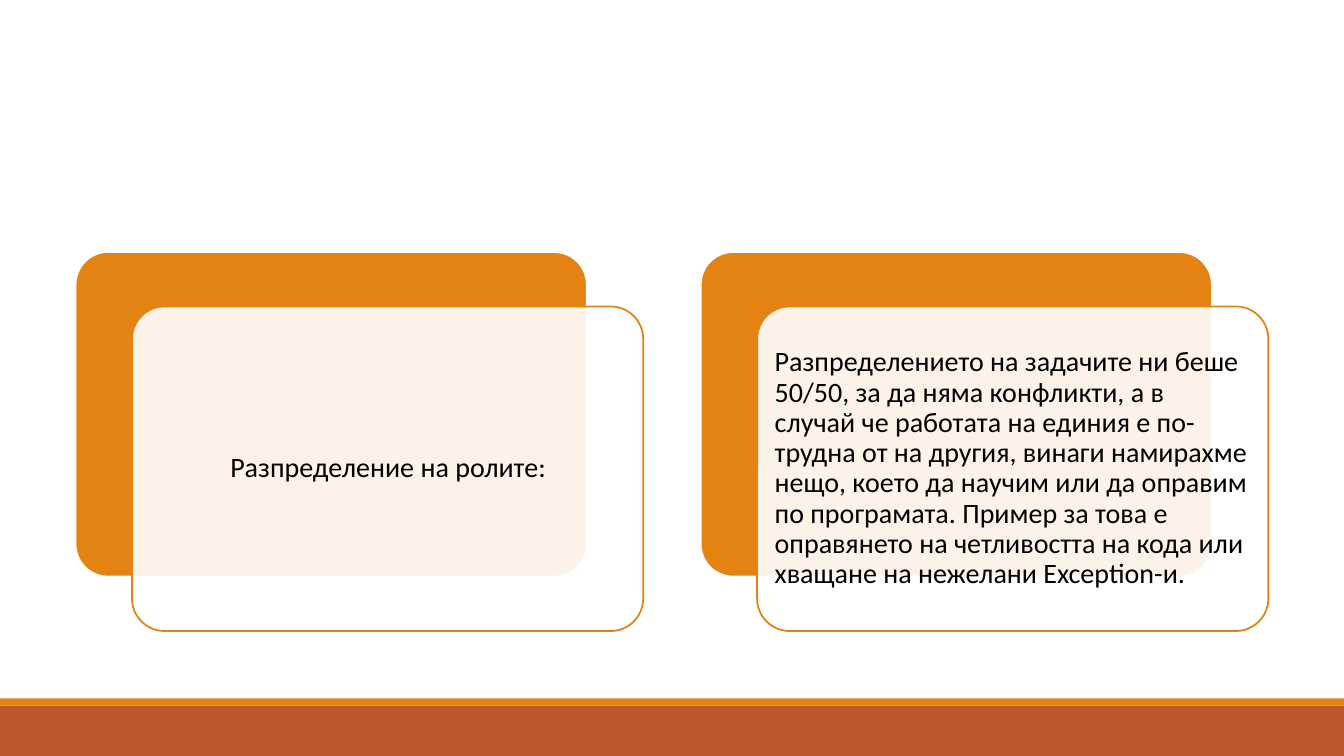
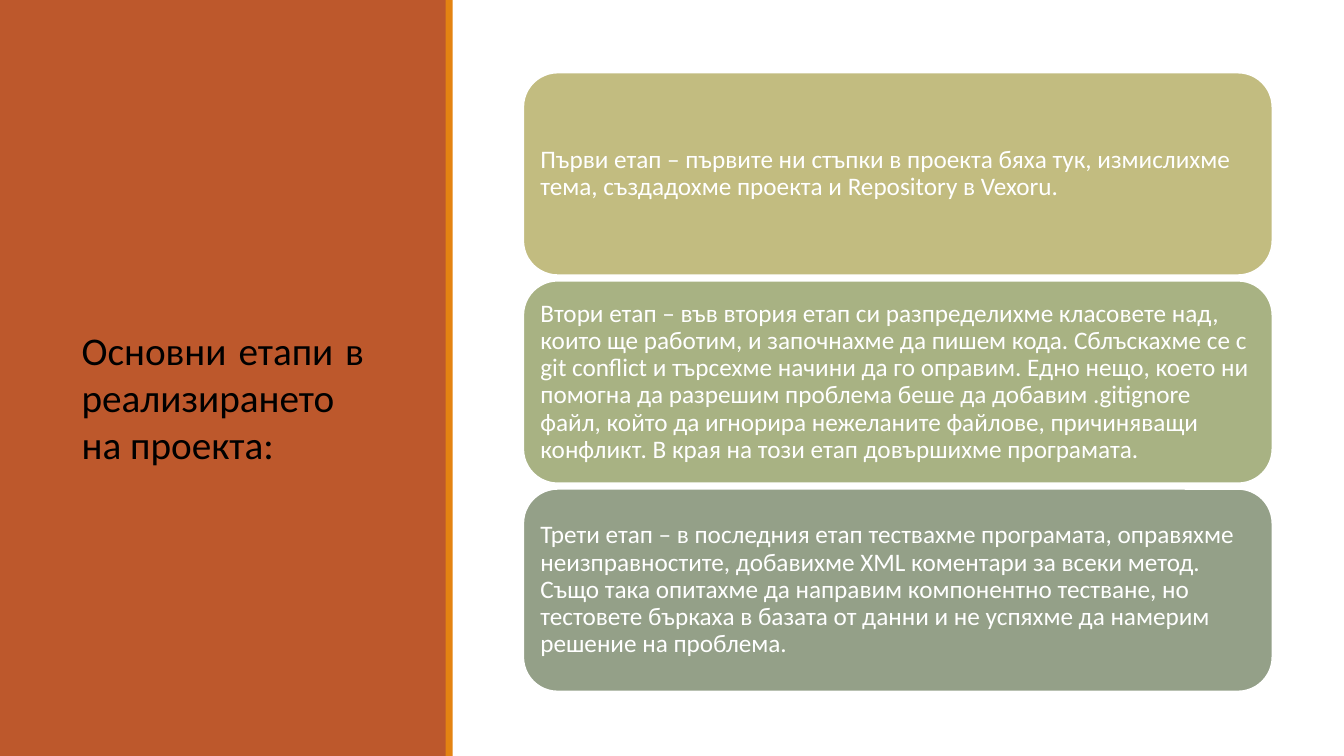
from lxml import etree
from pptx import Presentation
from pptx.dml.color import RGBColor
from pptx.enum.shapes import MSO_SHAPE
from pptx.enum.text import MSO_ANCHOR, MSO_AUTO_SIZE, PP_ALIGN
from pptx.oxml.ns import qn
from pptx.util import Inches, Pt

# Shared look
FONT = "Calibri"
RUST, ORANGE, WHITE, BLACK = "BD582C", "E48312", "FFFFFF", "000000"
SLIDE_W, SLIDE_H = 13.33, 7.5
TITLE_ONLY = 5

# Role cards
CARD_W, CARD_H, CARD_ROUNDING = 5.07, 3.22, 0.1
CARD_LEFT, CARD_TOP, CARD_STEP = 0.75, 2.5, 6.2
FRONT_DX, FRONT_DY = 0.56, 0.54
ROLES_TITLE = "Разпределение на ролите:"
ROLES_TEXT = (
    "Разпределението на задачите ни беше 50/50, за да няма конфликти, а в "
    "случай че работата на единия е по-трудна от на другия, винаги намирахме "
    "нещо, което да научим или да оправим по програмата. Пример за това е "
    "оправянето на четливостта на кода или хващане на нежелани Exception-и."
)

# Project stages
STAGES_TITLE = "Основни етапи в реализирането на проекта:"
STAGE_TOP, STAGE_H, STAGE_STEP = 0.72, 2.01, 2.065
STAGES = [
    ("C2BC80",
     "Първи етап – първите ни стъпки в проекта бяха тук, измислихме тема, "
     "създадохме проекта и Repository в Vexoru."),
    ("A8B283",
     "Втори етап – във втория етап си разпределихме класовете над, които ще "
     "работим, и започнахме да пишем кода. Сблъскахме се с git conflict и "
     "търсехме начини да го оправим. Едно нещо, което ни помогна да разрешим "
     "проблема беше да добавим .gitignore файл, който да игнорира нежеланите "
     "файлове, причиняващи конфликт. В края на този етап довършихме програмата."),
    ("94A088",
     "Трети етап – в последния етап тествахме програмата, оправяхме "
     "неизправностите, добавихме XML коментари за всеки метод. Също така "
     "опитахме да направим компонентно тестване, но тестовете бъркаха в базата "
     "от данни и не успяхме да намерим решение на проблема."),
]


def rgb(color):
    return RGBColor.from_string(color)


def place(shape, left, top, width, height):
    shape.left, shape.top = Inches(left), Inches(top)
    shape.width, shape.height = Inches(width), Inches(height)


def add_box(slide, left, top, width, height, fill, line=None, rounding=None):
    kind = MSO_SHAPE.RECTANGLE if rounding is None else MSO_SHAPE.ROUNDED_RECTANGLE
    box = slide.shapes.add_shape(
        kind, Inches(left), Inches(top), Inches(width), Inches(height))
    box.shadow.inherit = False
    box.fill.solid()
    box.fill.fore_color.rgb = rgb(fill)
    if line:
        box.line.color.rgb = rgb(line)
        box.line.width = Pt(1.25)
    else:
        box.line.fill.background()
    if rounding is not None:
        box.adjustments[0] = rounding
    return box


def set_opacity(shape, percent):
    color = shape.fill._xPr.find(qn("a:solidFill"))[0]
    etree.SubElement(color, qn("a:alpha")).set("val", str(percent * 1000))


def write(shape, text, size, color, align=PP_ALIGN.LEFT,
          anchor=MSO_ANCHOR.MIDDLE, spacing=0.9, inset=(0.08, 0.08)):
    frame = shape.text_frame
    frame.text = text
    frame.word_wrap = True
    frame.auto_size = MSO_AUTO_SIZE.NONE
    frame.vertical_anchor = anchor
    frame.margin_left = frame.margin_right = Inches(inset[0])
    frame.margin_top = frame.margin_bottom = Inches(inset[1])
    paragraph = frame.paragraphs[0]
    paragraph.alignment = align
    paragraph.line_spacing = spacing
    font = paragraph.runs[0].font
    font.name, font.size = FONT, Pt(size)
    font.color.rgb = rgb(color)


def add_title(slide, text, box, size, **style):
    """Fill the title placeholder and lift it above the shapes drawn so far."""
    title = slide.shapes.title
    place(title, *box)
    write(title, text, size, BLACK, **style)
    slide.shapes.element.append(title.element)


def add_master_bands(prs, slide):
    """Draw the footer bands, then hand them to the slide master."""
    bands = [add_box(slide, 0, 7, SLIDE_W, 0.5, RUST),
             add_box(slide, 0, 6.93, SLIDE_W, 0.07, ORANGE)]
    tree = prs.slide_master.shapes.element
    for i, band in enumerate(bands):
        band.element.nvSpPr.cNvPr.set("id", str(100 + i))
        tree.insert(2 + i, band.element)


def add_role_card(slide, left):
    add_box(slide, left, CARD_TOP, CARD_W, CARD_H, ORANGE, WHITE, CARD_ROUNDING)
    front = add_box(slide, left + FRONT_DX, CARD_TOP + FRONT_DY, CARD_W, CARD_H,
                    WHITE, ORANGE, CARD_ROUNDING)
    set_opacity(front, 90)
    return front


def build_roles(slide):
    add_role_card(slide, CARD_LEFT)
    answer = add_role_card(slide, CARD_LEFT + CARD_STEP)
    write(answer, ROLES_TEXT, 20, BLACK)
    add_title(slide, ROLES_TITLE, (1.41, 3.13, 4.88, 3.03), 20,
              align=PP_ALIGN.CENTER)


def build_stages(slide):
    # White page with a side panel
    add_box(slide, 0, 0, SLIDE_W, SLIDE_H, WHITE)
    add_box(slide, 0, 0, 4.43, SLIDE_H, RUST)
    add_box(slide, 4.42, 0, 0.07, SLIDE_H, ORANGE)
    # Stage boxes
    for i, (fill, text) in enumerate(STAGES):
        stage = add_box(slide, 5.19, STAGE_TOP + i * STAGE_STEP, 7.43, STAGE_H,
                        fill, WHITE, 0.17)
        write(stage, text, 18, WHITE, inset=(0.07, 0.07))
    add_title(slide, STAGES_TITLE, (0.71, 3.19, 3, 1.51), 28,
              align=PP_ALIGN.JUSTIFY, anchor=MSO_ANCHOR.TOP, spacing=1.0,
              inset=(0.1, 0.05))


def main():
    prs = Presentation()
    prs.slide_width, prs.slide_height = Inches(SLIDE_W), Inches(SLIDE_H)
    layout = prs.slide_layouts[TITLE_ONLY]
    roles = prs.slides.add_slide(layout)
    add_master_bands(prs, roles)
    build_roles(roles)
    build_stages(prs.slides.add_slide(layout))
    prs.save("out.pptx")


main()
